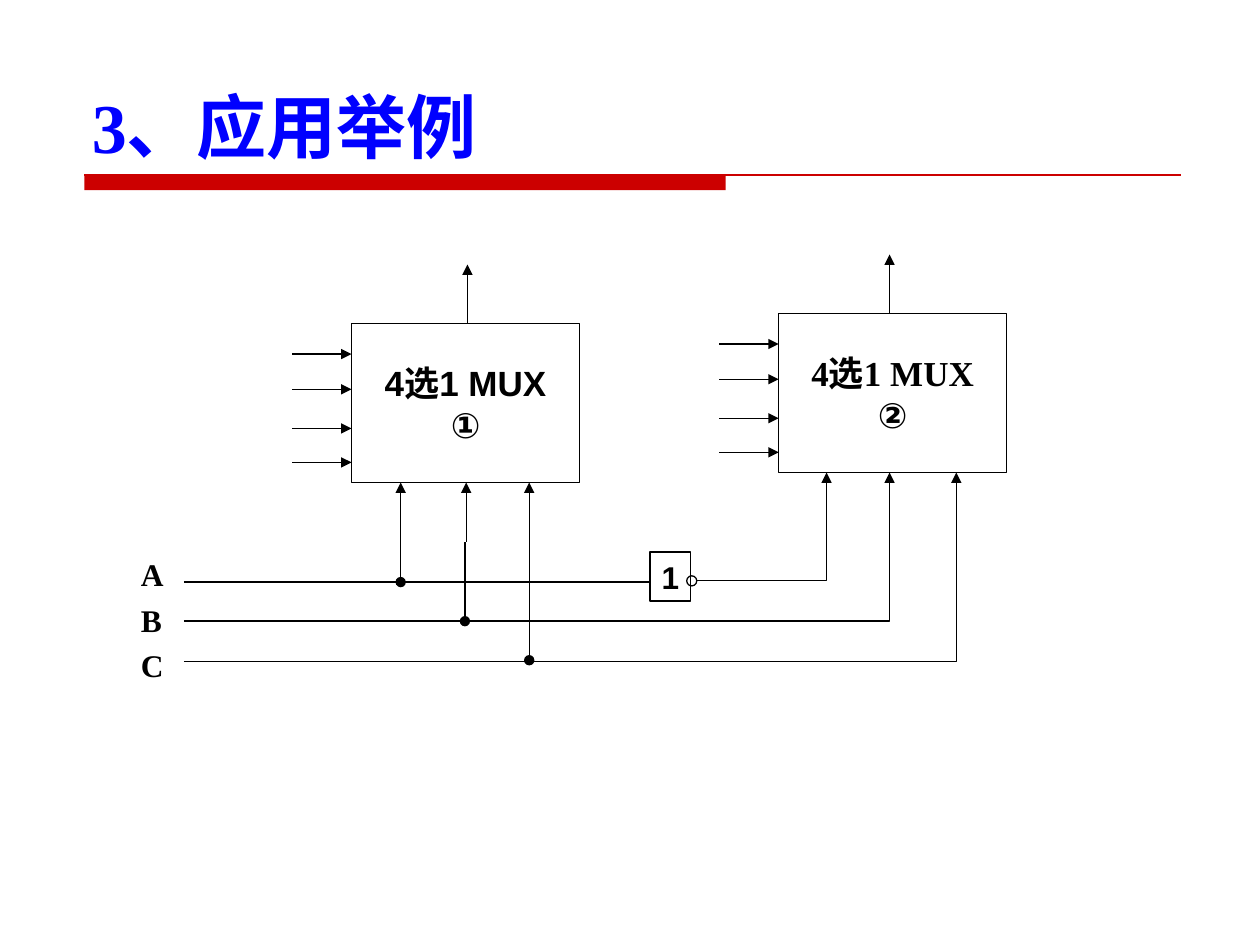
from lxml import etree
from pptx import Presentation
from pptx.dml.color import RGBColor
from pptx.enum.shapes import MSO_CONNECTOR, MSO_SHAPE
from pptx.enum.text import MSO_ANCHOR, MSO_AUTO_SIZE, PP_ALIGN
from pptx.oxml.ns import qn
from pptx.util import Inches, Pt

BLACK = RGBColor(0x00, 0x00, 0x00)
BLUE = RGBColor(0x00, 0x00, 0xFF)
RED = RGBColor(0xCC, 0x00, 0x00)
SERIF, SANS = "Times New Roman", "Arial"

deck = Presentation()
deck.slide_width, deck.slide_height = Inches(10), Inches(7.5)
page = deck.slides.add_slide(deck.slide_layouts[5])


def add_wire(start, end, color=BLACK, kind=MSO_CONNECTOR.STRAIGHT, **ends):
    """Draw a connector; ends may give headEnd and tailEnd types, in that order."""
    points = [Inches(value) for value in (*start, *end)]
    wire = page.shapes.add_connector(kind, *points)
    wire.line.color.rgb = color
    wire.line.width = Pt(0.75)
    for tag, shape_type in ends.items():
        etree.SubElement(wire.line._get_or_add_ln(), qn(f"a:{tag}"), type=shape_type)
    properties = wire._element.spPr
    etree.SubElement(properties, qn("a:effectLst"))
    if kind == MSO_CONNECTOR.ELBOW:
        # One right-angle turn: across, then up
        properties.find(qn("a:prstGeom")).set("prst", "bentConnector2")


def add_symbol(shape_kind, place, lines=(), size=18):
    """Draw an outlined shape holding centred (text, font name) lines."""
    symbol = page.shapes.add_shape(shape_kind, *[Inches(value) for value in place])
    symbol.shadow.inherit = False
    symbol.fill.background()
    symbol.line.color.rgb = BLACK
    symbol.line.width = Pt(0.75)
    frame = symbol.text_frame
    frame.word_wrap = False
    frame.vertical_anchor = MSO_ANCHOR.MIDDLE
    for number, (text, font_name) in enumerate(lines):
        para = frame.add_paragraph() if number else frame.paragraphs[0]
        para.alignment = PP_ALIGN.CENTER
        span = para.add_run()
        span.text = text
        span.font.color.rgb = BLACK
        for name, value in dict(name=font_name, size=Pt(size), bold=True).items():
            setattr(span.font, name, value)


# Red rule under the title
bar = page.shapes.add_shape(
    MSO_SHAPE.RECTANGLE, Inches(0.67), Inches(1.39), Inches(5.09), Inches(0.12))
bar.shadow.inherit = False
bar.fill.solid()
bar.fill.fore_color.rgb = RED
bar.line.fill.background()
add_wire((0.67, 1.39), (9.37, 1.39), RED)

# Multiplexers with output, data inputs and select inputs
MUX_WIDTH, MUX_HEIGHT, ARROW = 1.81, 1.26, 0.47
multiplexers = [
    (2.79, 2.57, 3.71, (3.18, 3.7, 4.2), SANS, "①"),
    (6.18, 2.49, 7.06, (6.56, 7.06, 7.59), SERIF, "②"),
]
for left, top, output, selects, font_name, mark in multiplexers:
    add_symbol(MSO_SHAPE.RECTANGLE, (left, top, MUX_WIDTH, MUX_HEIGHT),
               [("4选1 MUX", font_name), (mark, SANS)], 20)
    add_wire((output, top), (output, top - ARROW), tailEnd="triangle")
    for drop in (0.24, 0.52, 0.83, 1.1):
        add_wire((left - ARROW, top + drop), (left, top + drop), tailEnd="triangle")
    bottom = top + MUX_HEIGHT
    for select in selects:
        add_wire((select, bottom + ARROW), (select, bottom), tailEnd="triangle")

# Address lines: A passes the inverter, B and C run straight on
add_wire((1.46, 4.62), (5.16, 4.62))
for start, end in [((5.53, 4.61), (6.56, 4.22)),
                   ((1.46, 4.93), (7.06, 4.22)),
                   ((1.46, 5.25), (7.59, 4.22))]:
    add_wire(start, end, kind=MSO_CONNECTOR.ELBOW)

# Junctions feeding the first multiplexer
for across, low, high in [(3.18, 4.62, 4.22), (3.69, 4.93, 4.3), (4.2, 5.24, 4.22)]:
    add_wire((across, low), (across, high), headEnd="oval")

# Inverter
add_symbol(MSO_SHAPE.RECTANGLE, (5.16, 4.38, 0.32, 0.39), [("1", SANS)])
add_symbol(MSO_SHAPE.OVAL, (5.45, 4.57, 0.08, 0.08))

# Title
title = page.shapes.title
title_format = dict(left=Inches(0.63), top=Inches(0.33),
                    width=Inches(8.75), height=Inches(1.05))
for name, value in title_format.items():
    setattr(title, name, value)
title.text_frame.text = "3、应用举例"
title.text_frame.auto_size = MSO_AUTO_SIZE.NONE
title.text_frame.vertical_anchor = MSO_ANCHOR.BOTTOM
para = title.text_frame.paragraphs[0]
para.alignment = PP_ALIGN.LEFT
span = para.runs[0]
span.font.color.rgb = BLUE
for name, value in dict(name=SERIF, size=Pt(40), bold=True).items():
    setattr(span.font, name, value)

# Address names
for row, letter in enumerate("ABC"):
    box = page.shapes.add_textbox(
        Inches(1.02), Inches(4.36 + 0.36 * row), Inches(0.41), Inches(0.4))
    box.text_frame.word_wrap = True
    span = box.text_frame.paragraphs[0].add_run()
    span.text = letter
    span.font.color.rgb = BLACK
    for name, value in dict(name=SERIF, size=Pt(18), bold=True).items():
        setattr(span.font, name, value)

deck.save("out.pptx")
